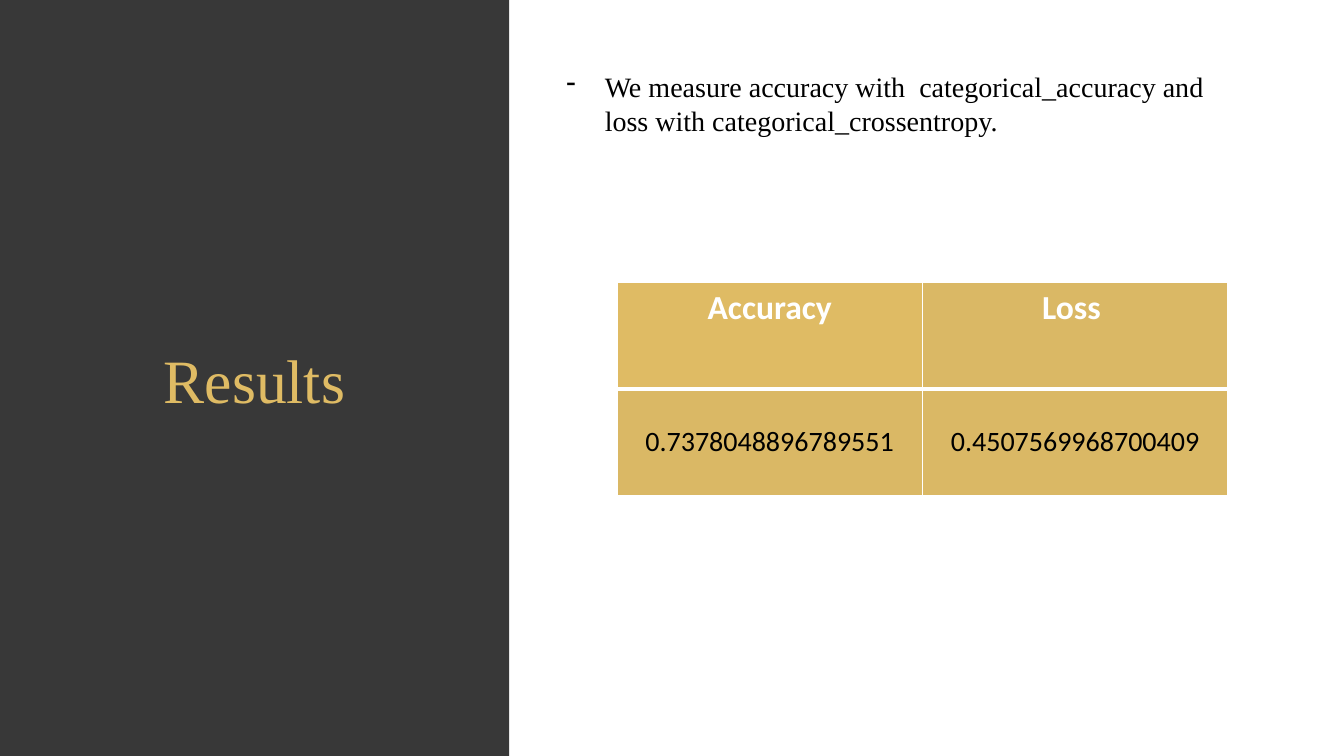
"""Build the results slide with its title panel, note and score table."""
from dataclasses import dataclass

from lxml import etree
from pptx import Presentation
from pptx.dml.color import RGBColor
from pptx.enum.shapes import MSO_SHAPE
from pptx.enum.text import MSO_ANCHOR, MSO_AUTO_SIZE, PP_ALIGN
from pptx.oxml.ns import qn
from pptx.slide import Slide
from pptx.table import _Cell
from pptx.text.text import _Paragraph
from pptx.util import Inches, Pt

RECT = MSO_SHAPE.RECTANGLE
MIDDLE = MSO_ANCHOR.MIDDLE
GROW = MSO_AUTO_SIZE.SHAPE_TO_FIT_TEXT
CENTER = PP_ALIGN.CENTER

COLORS = {
    "panel": "383838",
    "gold": "DFBB64",
    "sand": "DAB865",
    "white": "FFFFFF",
    "black": "000000",
}
SERIF = "Times New Roman"
SANS = "Calibri"


@dataclass(frozen=True)
class Style:
    font: str
    size: int
    color: str
    bold: bool = False


@dataclass(frozen=True)
class Row:
    texts: tuple[str, ...]
    fills: tuple[str, ...]
    style: Style
    space: float
    top: int
    bottom: int


ROWS = (
    Row(("Accuracy", "Loss "), ("gold", "sand"),
        Style(SANS, 24, "white", True), 1.0, 1, 3),
    Row(("0.7378048896789551", "0.4507569968700409"), ("sand", "sand"),
        Style(SANS, 20, "black"), 1.9, 3, 1),
)


def color(name: str) -> RGBColor:
    return RGBColor.from_string(COLORS[name])


def write(para: _Paragraph, text: str, style: Style) -> None:
    para.text = text
    font = para.font
    font.name = style.font
    font.size = Pt(style.size)
    font.bold = style.bold
    font.color.rgb = color(style.color)


def border(cell: _Cell, row: Row) -> None:
    props = cell._tc.get_or_add_tcPr()
    sides = {"L": 1, "R": 1, "T": row.top, "B": row.bottom}
    for side, width in sides.items():
        line = etree.SubElement(props, qn(f"a:ln{side}"), w=str(Pt(width)))
        fill = etree.SubElement(line, qn("a:solidFill"))
        etree.SubElement(fill, qn("a:srgbClr"), val=COLORS["white"])


def add_scores(slide: Slide) -> None:
    frame = slide.shapes.add_table(
        len(ROWS), len(ROWS[0].texts),
        Inches(6.12), Inches(2.8), Inches(6.06), Inches(2.12))
    for r, row in enumerate(ROWS):
        for c, (text, fill) in enumerate(zip(row.texts, row.fills)):
            cell = frame.table.cell(r, c)
            border(cell, row)
            cell.fill.solid()
            cell.fill.fore_color.rgb = color(fill)
            para = cell.text_frame.paragraphs[0]
            write(para, text, row.style)
            para.alignment = CENTER
            para.line_spacing = row.space


def add_panel(slide: Slide) -> None:
    panel = slide.shapes.add_shape(
        RECT, 0, 0, Inches(5.05), Inches(7.52))
    panel.shadow.inherit = False
    panel.fill.solid()
    panel.fill.fore_color.rgb = color("panel")
    panel.line.fill.background()
    frame = panel.text_frame
    frame.vertical_anchor = MIDDLE
    para = frame.paragraphs[0]
    write(para, "Results", Style(SERIF, 44, "gold"))
    para.alignment = CENTER


def add_note(slide: Slide) -> None:
    box = slide.shapes.add_textbox(
        Inches(5.52), Inches(0.64), Inches(6.66), Inches(1.11))
    frame = box.text_frame
    frame.word_wrap = True
    frame.auto_size = GROW
    para = frame.paragraphs[0]
    write(para, "We measure accuracy with  categorical_accuracy and "
          "loss with categorical_crossentropy.", Style(SERIF, 20, "black"))
    props = para._p.get_or_add_pPr()
    props.set("marL", str(Inches(0.38)))
    props.set("indent", str(Inches(-0.38)))
    bullet = etree.Element(qn("a:buChar"), char="-")
    props.insert(0, bullet)


def main() -> None:
    deck = Presentation()
    deck.slide_width = Inches(13.33)
    deck.slide_height = Inches(7.5)
    slide = deck.slides.add_slide(deck.slide_layouts[6])
    add_scores(slide)
    add_panel(slide)
    add_note(slide)
    deck.save("out.pptx")


if __name__ == "__main__":
    main()
